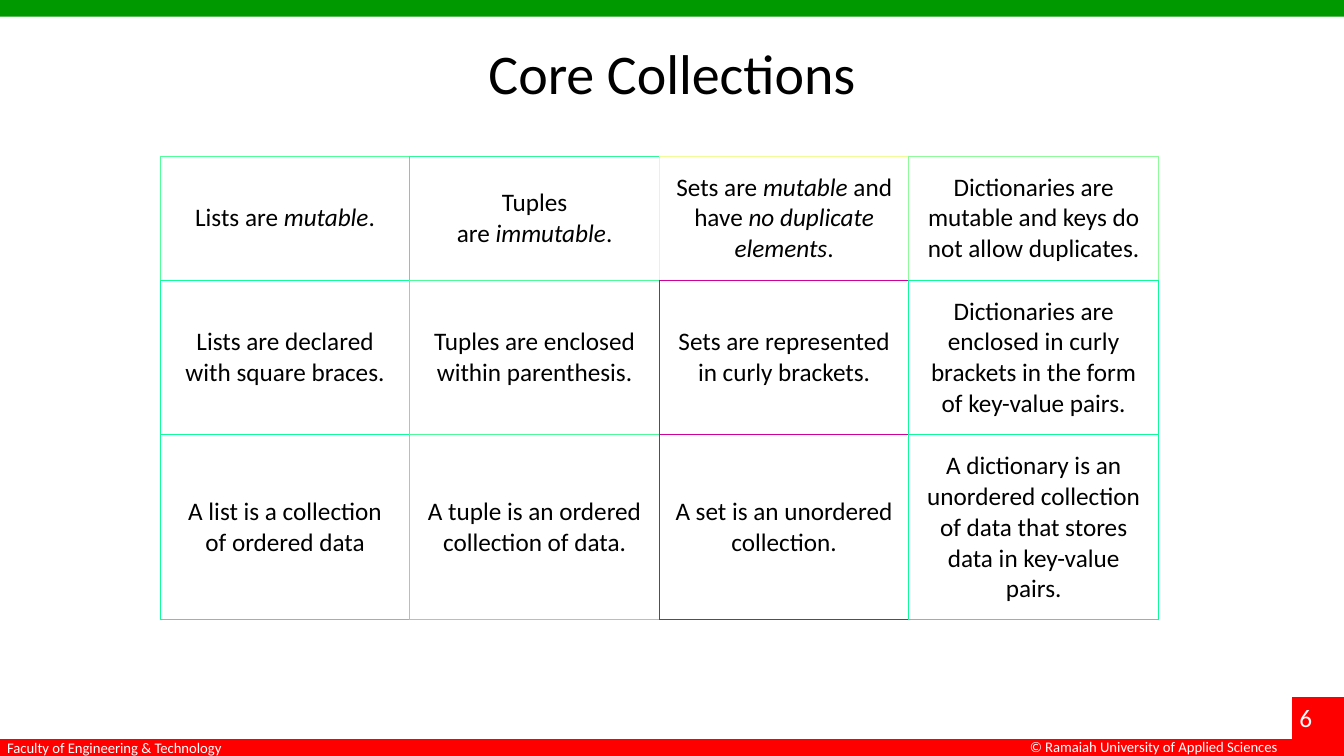
import pptx
import pptx.util
import pptx.dml.color
import pptx.enum.shapes
import pptx.enum.text
import lxml.etree

Pt = pptx.util.Pt
WIDE, HIGH = 960, 540
HUES = {
    "white": "FFFFFF", "black": "000000", "green": "009900", "red": "FF0000",
    "mint": "10FD9A", "aqua": "10FA9A", "leaf": "50F99A", "lime": "50FF9A",
    "jade": "30F89A", "lemon": "F0FB9A", "pear": "90FB9A", "plum": "D0009B",
}
CELLS = [
    ["Lists are~*mutable*.", "Tuples are~*immutable*.",
     "Sets are~*mutable*~and have~*no duplicate elements*.",
     "Dictionaries are mutable and keys do not allow duplicates."],
    ["Lists are declared with square braces.",
     "Tuples are enclosed within parenthesis.",
     "Sets are represented in curly brackets.",
     "Dictionaries are enclosed in curly brackets in the form of key-value pairs."],
    ["A list is a collection of ordered data",
     "A tuple is an ordered collection of data.",
     "A set is an unordered collection.",
     "A dictionary is an unordered collection of data that stores data in key-value pairs."],
]
SIDES = ("lnL", "lnR", "lnT", "lnB")
TOP = [("lime", "jade", "lime", "mint"), ("jade", "lemon", "jade", "leaf"),
       ("lemon", "pear", "lemon", "plum"), ("pear", "pear", "pear", "aqua")]
LOWER = [("mint", "leaf", "mint", "mint"), ("leaf", "plum", "leaf", "leaf"),
         ("plum", "aqua", "plum", "plum"), ("aqua",) * 4]
EDGES = [TOP, LOWER, LOWER]


class Deck:
    font = "Calibri"

    def __init__(self):
        self.file = pptx.Presentation()
        self.file.slide_width, self.file.slide_height = Pt(WIDE), Pt(HIGH)
        self.slide = self.file.slides.add_slide(self.file.slide_layouts[5])

    def hue(self, name):
        return pptx.dml.color.RGBColor.from_string(HUES[name])

    def run(self, para, text, size, hue, slant=False):
        run = para.add_run()
        run.text = text
        run.font.name, run.font.size = self.font, Pt(size)
        run.font.italic = slant
        run.font.color.rgb = self.hue(hue)

    def title(self, text, box):
        shape = self.slide.shapes.title
        shape.left, shape.top, shape.width, shape.height = map(Pt, box)
        frame = shape.text_frame
        frame.vertical_anchor = pptx.enum.text.MSO_ANCHOR.TOP
        frame.margin_top = Pt(6)
        para = frame.paragraphs[0]
        para.alignment = pptx.enum.text.PP_ALIGN.CENTER
        self.run(para, text, 40, "black")

    def bar(self, box, hue):
        kind = pptx.enum.shapes.MSO_SHAPE.RECTANGLE
        shape = self.slide.shapes.add_shape(kind, *map(Pt, box))
        shape.shadow.inherit = False
        shape.fill.solid()
        shape.fill.fore_color.rgb = self.hue(hue)
        shape.line.fill.background()

    def label(self, text, box, size):
        frame = self.slide.shapes.add_textbox(*map(Pt, box)).text_frame
        frame.word_wrap = False
        frame.auto_size = pptx.enum.text.MSO_AUTO_SIZE.SHAPE_TO_FIT_TEXT
        self.run(frame.paragraphs[0], text, size, "white")

    def edge(self, cell, hues):
        for side, hue in zip(SIDES, hues):
            cell.append(lxml.etree.fromstring(
                f'<a:{side} xmlns:a="http://schemas.openxmlformats.org/drawingml/2006/main"'
                f' w="{Pt(0.75)}"><a:solidFill><a:srgbClr val="{HUES[hue]}"/>'
                f'</a:solidFill></a:{side}>'))

    def cell(self, cell, text, hues):
        cell.vertical_anchor = pptx.enum.text.MSO_ANCHOR.MIDDLE
        cell.margin_left = cell.margin_right = Pt(11.5)
        cell.margin_top = cell.margin_bottom = Pt(11.5)
        self.edge(cell._tc.get_or_add_tcPr(), hues)
        cell.fill.solid()
        cell.fill.fore_color.rgb = self.hue("white")
        para = cell.text_frame.paragraphs[0]
        para.alignment = pptx.enum.text.PP_ALIGN.CENTER
        for spot, part in enumerate(text.replace("~", chr(160)).split("*")):
            self.run(para, part, 18, "black", spot % 2 == 1)

    def table(self, texts, edges, left, top, width, highs):
        count = len(texts[0])
        grid = self.slide.shapes.add_table(
            len(texts), count, Pt(left), Pt(top), Pt(width), Pt(sum(highs))).table
        grid.first_row = grid.horz_banding = False
        for col in grid.columns:
            col.width = Pt(width / count)
        for row, high in enumerate(highs):
            grid.rows[row].height = Pt(high)
            for col in range(count):
                self.cell(grid.cell(row, col), texts[row][col], edges[row][col])


def main():
    deck = Deck()
    deck.bar((0, 0, WIDE, 12), "green")
    deck.bar((0, HIGH - 12, WIDE, 12), "red")
    deck.bar((WIDE - 37, HIGH - 42, 37, 42), "red")
    deck.label("6", (921, 498, 36, 29), 18)
    deck.label("Faculty of Engineering & Technology", (-2, 524, 171, 20), 10.5)
    deck.label("© Ramaiah University of Applied Sciences", (728.5, 523.5, 194.5, 20), 10.5)
    deck.title("Core Collections", (48, 21.6, 864, 90))
    deck.table(CELLS, EDGES, 114.5, 111.5, 713, (88.5, 110.5, 132))
    deck.file.save("out.pptx")


if __name__ == "__main__":
    main()
